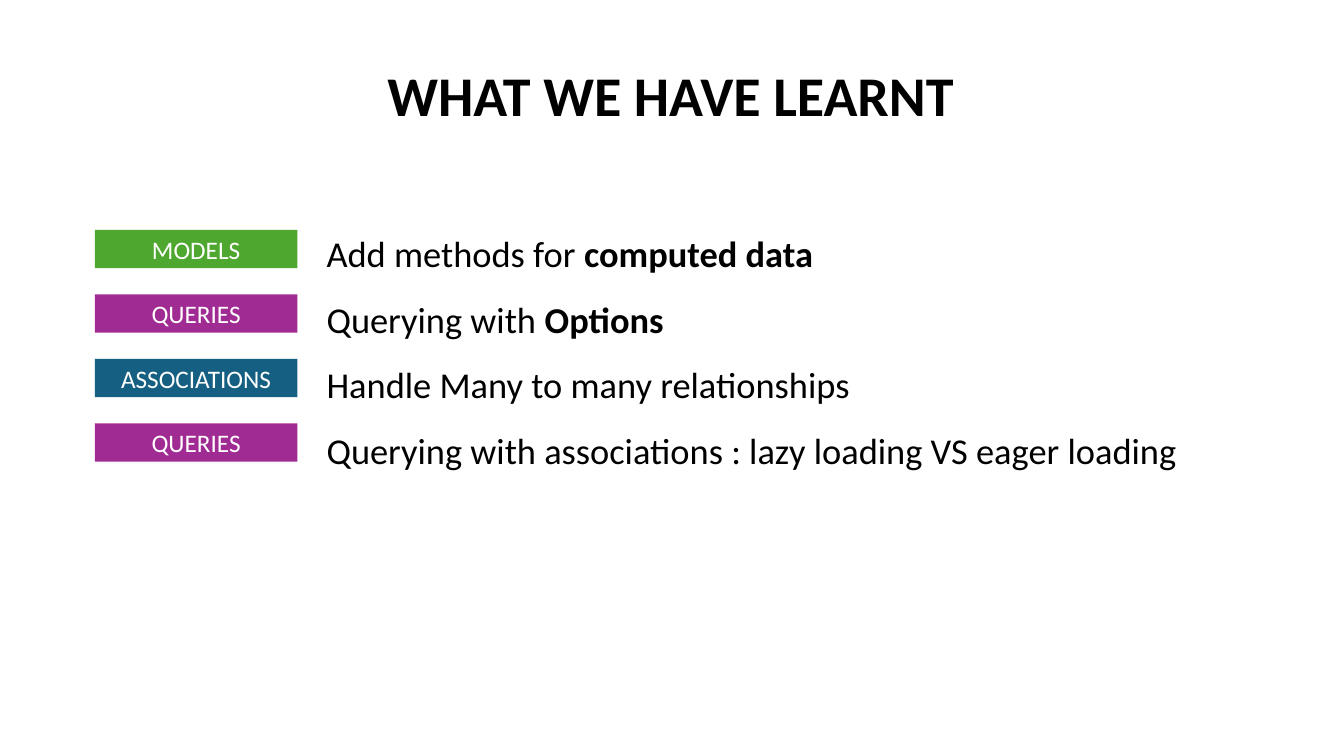
import dataclasses

import pptx
import pptx.dml.color
import pptx.enum.shapes
import pptx.enum.text
import pptx.util

PX = 9144  # EMU: 100 px to the inch
ALIGN = pptx.enum.text.PP_ALIGN
ANCHOR = pptx.enum.text.MSO_ANCHOR


@dataclasses.dataclass(frozen=True)
class Theme:
    font: str = "Calibri"
    ink: str = "000000"
    paper: str = "FFFFFF"
    green: str = "4EA72E"
    purple: str = "A02B93"
    blue: str = "156082"
    title: int = 40
    body: int = 26
    tag: int = 18


THEME = Theme()

# Tag, tag colour, plain words, bold words
LESSONS = [
    ("MODELS", THEME.green, "Add methods for ", "computed data"),
    ("QUERIES", THEME.purple, "Querying with ", "Options"),
    ("ASSOCIATIONS", THEME.blue, "Handle Many to many relationships", ""),
    ("QUERIES", THEME.purple,
     "Querying with associations : lazy loading VS eager loading", ""),
]


def emu(*sizes):
    return [pptx.util.Emu(size * PX) for size in sizes]


def color(code):
    return pptx.dml.color.RGBColor.from_string(code)


def add_run(para, text, size, ink, bold=False):
    run = para.add_run()
    run.text = text
    run.font.name = THEME.font
    run.font.size = pptx.util.Pt(size)
    run.font.bold = bold
    run.font.color.rgb = color(ink)


def add_title(slide, box, text):
    title = slide.shapes.title
    title.left, title.top, title.width, title.height = emu(*box)
    frame = title.text_frame
    frame.auto_size = pptx.enum.text.MSO_AUTO_SIZE.NONE
    frame.vertical_anchor = ANCHOR.TOP
    para = frame.paragraphs[0]
    para.alignment = ALIGN.CENTER
    add_run(para, text, THEME.title, THEME.ink, True)


def add_list(slide, box):
    frame = slide.shapes.add_textbox(*emu(*box)).text_frame
    frame.word_wrap = True
    for row, (_, _, plain, bold) in enumerate(LESSONS):
        para = frame.add_paragraph() if row else frame.paragraphs[0]
        para.line_spacing = 1.5
        add_run(para, plain, THEME.body, THEME.ink)
        if bold:
            add_run(para, bold, THEME.body, THEME.ink, True)


def add_tags(slide, box, high):
    """Spread the tags evenly from the top to the bottom of the box."""
    left, top, width, height = box
    step = (height - high) // (len(LESSONS) - 1)
    for row, (name, fill, _, _) in enumerate(LESSONS):
        tag = slide.shapes.add_shape(
            pptx.enum.shapes.MSO_SHAPE.RECTANGLE,
            *emu(left, top + row * step, width, high))
        tag.shadow.inherit = False
        tag.fill.solid()
        tag.fill.fore_color.rgb = color(fill)
        tag.line.fill.background()
        frame = tag.text_frame
        frame.vertical_anchor = ANCHOR.MIDDLE
        para = frame.paragraphs[0]
        para.alignment = ALIGN.CENTER
        add_run(para, name, THEME.tag, THEME.paper)


def add_recap(slide, box):
    """Place the tags on the left and the lessons on the right."""
    left, top, width, height = box
    add_list(slide, (left + 220, top, width - 220, height))
    add_tags(slide, (left, top + 25, 201, 230), 38)


def main():
    deck = pptx.Presentation()
    deck.slide_width, deck.slide_height = emu(1333, 750)
    slide = deck.slides.add_slide(deck.slide_layouts[5])
    add_title(slide, (343, 55, 644, 77), "WHAT WE HAVE LEARNT")
    add_recap(slide, (94, 203, 1165, 273))
    deck.save("out.pptx")


if __name__ == "__main__":
    main()
